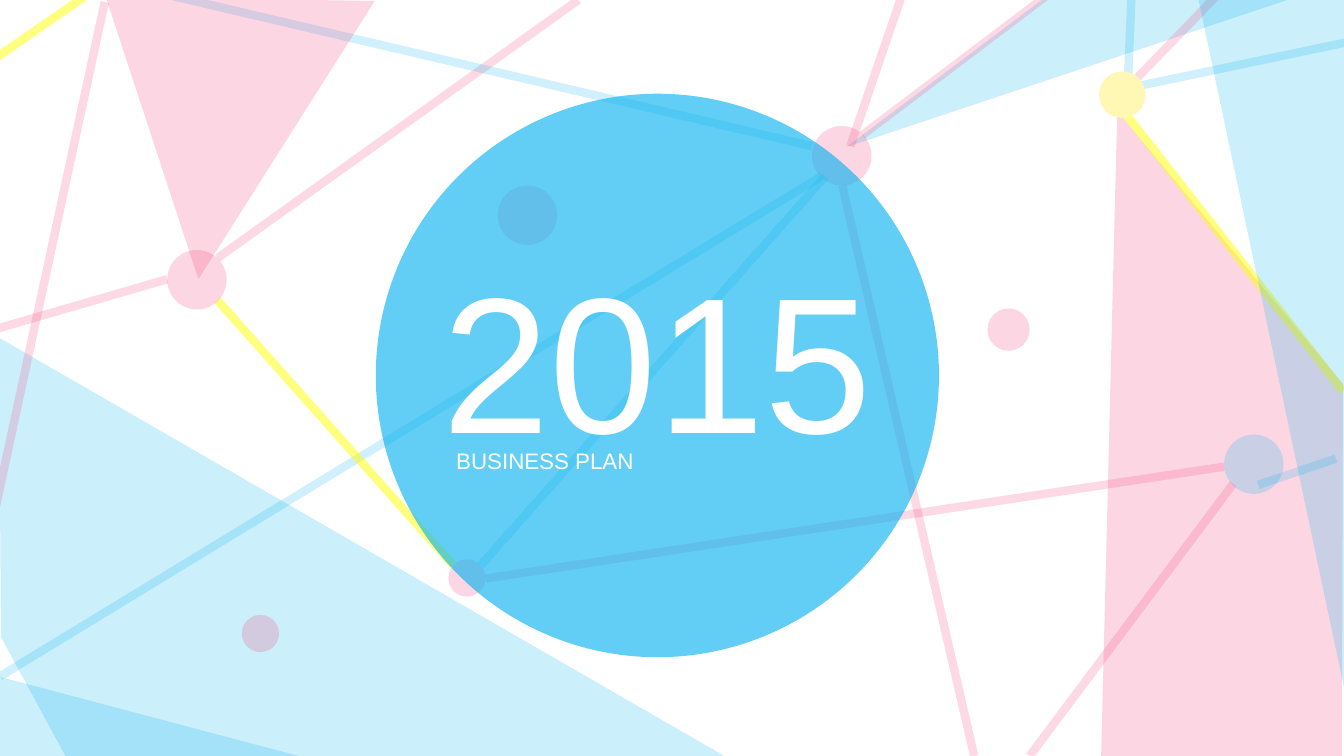
from dataclasses import dataclass

from pptx import Presentation
from pptx.dml.color import RGBColor
from pptx.enum.shapes import MSO_CONNECTOR, MSO_SHAPE
from pptx.enum.text import MSO_ANCHOR, MSO_AUTO_SIZE, PP_ALIGN
from pptx.oxml.ns import qn
from pptx.util import Cm, Pt

STRAIGHT, ELLIPSE = MSO_CONNECTOR.STRAIGHT, MSO_SHAPE.OVAL
TOP, NO_AUTOFIT = MSO_ANCHOR.TOP, MSO_AUTO_SIZE.NONE
LEFT, CENTER = PP_ALIGN.LEFT, PP_ALIGN.CENTER
CM_PER_INCH = 2.54


@dataclass(frozen=True)
class Theme:
    pink: str = "F43A74"
    blue: str = "00B0F0"
    yellow: str = "FFFF00"
    cream: str = "FFF8B4"
    white: str = "FFFFFF"
    font: str = "Arial"
    year_size: int = 138
    subtitle_size: int = 16
    line_width: int = 6
    tint: int = 20
    disc_opacity: int = 61


THEME = Theme()
PINK, BLUE, YELLOW = THEME.pink, THEME.blue, THEME.yellow
LINE_OPACITY = {PINK: 18, BLUE: 18, YELLOW: 50}

# All positions are in inches.
SLIDE_SIZE = (13.34, 7.5)
YEAR = ("2015", (3.85, 2.33, 5.35, 2.4))
SUBTITLE = ("BUSINESS PLAN", (4.43, 4.39, 4.19, 0.37))

# Polygons: colour, corners
BACK_POLYGONS = [
    (PINK, [(10.93, 7.5), (11.09, 1.1), (13.33, 3.81), (13.32, 7.52)]),
    (BLUE, [(12.99, -0.07), (8.4, 1.46), (10.46, -0.09)]),
    (BLUE, [(0.01, 6.32), (-0.01, 3.35), (7.19, 7.5), (0.65, 7.5)]),
]
FRONT_POLYGONS = [
    (PINK, [(1.05, -0.03), (3.72, 0.01), (1.97, 2.77)]),
    (BLUE, [(13.37, 6.96), (11.88, -0.08), (13.38, -0.04)]),
    (BLUE, [(-0.01, 7.51), (-0.02, 6.71), (3.08, 7.53)]),
]

# Dots: colour, left, top, diameter, opacity
BACK_DOTS = [
    (PINK, 8.06, 1.25, 0.59, THEME.tint),
    (PINK, 9.8, 3.06, 0.42, THEME.tint),
    (BLUE, 12.15, 4.31, 0.59, THEME.tint),
    (PINK, 2.4, 6.1, 0.37, THEME.tint),
    (PINK, 4.45, 5.55, 0.37, THEME.tint),
    (PINK, 4.94, 1.84, 0.59, THEME.tint),
]
DISC = (BLUE, 3.73, 0.93, 5.59, THEME.disc_opacity)
FRONT_DOTS = [
    (PINK, 1.66, 2.48, 0.59, THEME.tint),
    (THEME.cream, 10.91, 0.71, 0.46, 100),
]

# Lines: colour, start, end
BACK_LINES = [
    (BLUE, (0, 6.71), (8.15, 1.75)),
    (PINK, (2.16, 2.56), (5.74, 0)),
    (PINK, (-0.06, 3.27), (1.66, 2.77)),
    (PINK, (1.04, 0.02), (-0.17, 5.62)),
    (YELLOW, (2.16, 2.98), (4.5, 5.61)),
    (BLUE, (8.19, 1.75), (4.77, 5.61)),
    (BLUE, (1.2, -0.16), (8.06, 1.45)),
    (PINK, (4.82, 5.74), (12.15, 4.63)),
    (PINK, (9.67, 7.5), (8.36, 1.84)),
    (PINK, (10.22, 7.5), (12.24, 4.8)),
    (YELLOW, (13.33, 3.88), (11.11, 1.05)),
    (PINK, (8.56, 1.34), (10.53, -0.15)),
    (PINK, (8.44, 1.45), (8.96, -0.07)),
    (YELLOW, (0.89, -0.07), (-0.15, 0.65)),
    (BLUE, (11.24, -0.25), (11.19, 0.94)),
    (BLUE, (13.51, 0.39), (11.03, 0.91)),
    (PINK, (12.19, -0.16), (11.29, 0.77)),
]
FRONT_LINE = (BLUE, (13.26, 4.55), (12.49, 4.81))


def lengths(*inches):
    return [Cm(value * CM_PER_INCH) for value in inches]


def set_opacity(shape, percent):
    """Make the shape's only colour partly transparent."""
    color = shape.element.spPr.find(".//" + qn("a:srgbClr"))
    alpha = color.makeelement(qn("a:alpha"), {"val": str(percent * 1000)})
    color.append(alpha)


def paint(shape, color, opacity):
    shape.shadow.inherit = False
    shape.fill.solid()
    shape.fill.fore_color.rgb = RGBColor.from_string(color)
    shape.line.fill.background()
    set_opacity(shape, opacity)


def add_polygon(slide, color, corners):
    first, *others = [lengths(*corner) for corner in corners]
    builder = slide.shapes.build_freeform(*first)
    builder.add_line_segments(others, close=True)
    paint(builder.convert_to_shape(), color, THEME.tint)


def add_dot(slide, color, left, top, diameter, opacity):
    box = lengths(left, top, diameter, diameter)
    paint(slide.shapes.add_shape(ELLIPSE, *box), color, opacity)


def add_line(slide, color, start, end):
    line = slide.shapes.add_connector(STRAIGHT, *lengths(*start, *end))
    line.line.width = Pt(THEME.line_width)
    line.line.color.rgb = RGBColor.from_string(color)
    set_opacity(line, LINE_OPACITY[color])
    properties = line.element.spPr
    properties.append(properties.makeelement(qn("a:effectLst"), {}))


def write(shape, text, box, size, alignment):
    shape.left, shape.top, shape.width, shape.height = lengths(*box)
    frame = shape.text_frame
    frame.text = text
    frame.word_wrap = True
    frame.auto_size = NO_AUTOFIT
    frame.vertical_anchor = TOP
    paragraph = frame.paragraphs[0]
    paragraph.alignment = alignment
    paragraph.font.name = THEME.font
    paragraph.font.size = Pt(size)
    paragraph.font.color.rgb = RGBColor.from_string(THEME.white)


def add_texts(slide):
    title = slide.shapes.title
    title.element.getparent().append(title.element)  # bring above the disc
    write(title, *YEAR, THEME.year_size, CENTER)
    subtitle = slide.shapes.add_textbox(*lengths(*SUBTITLE[1]))
    write(subtitle, *SUBTITLE, THEME.subtitle_size, LEFT)


def main():
    presentation = Presentation()
    presentation.slide_width, presentation.slide_height = lengths(*SLIDE_SIZE)
    slide = presentation.slides.add_slide(presentation.slide_layouts[5])

    for polygon in BACK_POLYGONS:
        add_polygon(slide, *polygon)
    for dot in BACK_DOTS:
        add_dot(slide, *dot)
    for line in BACK_LINES:
        add_line(slide, *line)
    add_dot(slide, *DISC)
    add_texts(slide)
    for polygon in FRONT_POLYGONS:
        add_polygon(slide, *polygon)
    for dot in FRONT_DOTS:
        add_dot(slide, *dot)
    add_line(slide, *FRONT_LINE)

    presentation.save("out.pptx")


if __name__ == "__main__":
    main()
